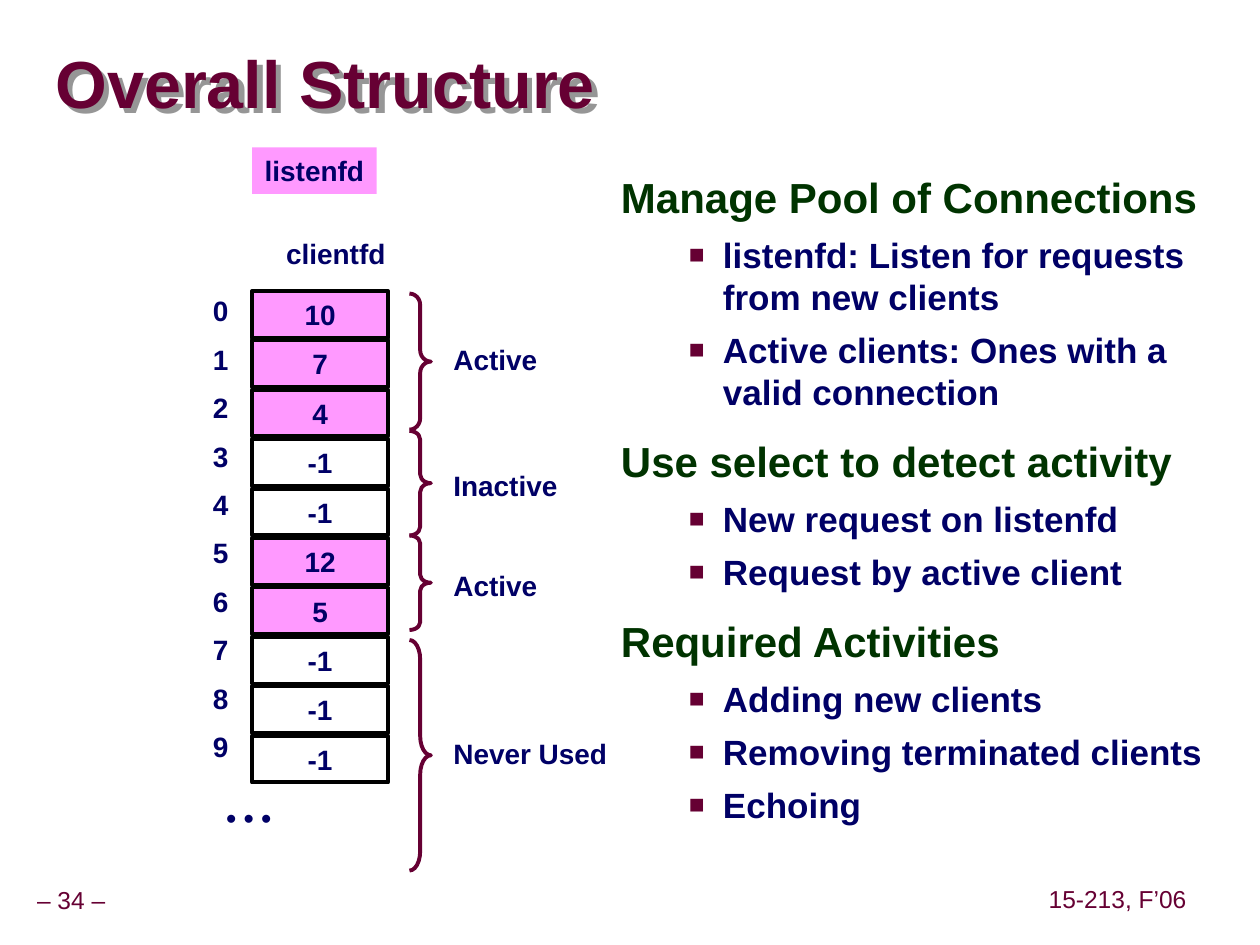
from dataclasses import dataclass

from lxml import etree
from pptx import Presentation
from pptx import util as u
from pptx.dml.color import RGBColor
from pptx.enum import shapes, text
from pptx.oxml import ns

ALIGN = text.PP_ALIGN
ANCHOR = text.MSO_ANCHOR


@dataclass(frozen=True)
class Theme:
    """Colours, font and type sizes of the slide."""
    maroon: str = "660033"
    navy: str = "000066"
    green: str = "003300"
    pink: str = "FF99FF"
    white: str = "FFFFFF"
    black: str = "000000"
    shadow: str = "969696"
    font: str = "Arial"
    title: int = 38
    heading: int = 24
    bullet: int = 20
    label: int = 16
    footer: int = 14


THEME = Theme()
SLOTS = [10, 7, 4, -1, -1, 12, 5, -1, -1, -1]
CELL_TOP, CELL_STEP = 2.31, 3.53 / 9
INDEX_TOP, INDEX_STEP = 2.28, 3.46 / 9
RANGES = [
    ("Active", 2.33, 1.08, 2.67, 0.92),
    ("Inactive", 3.42, 0.83, 3.67, 1.08),
    ("Active", 4.25, 0.75, 4.46, 0.92),
    ("Never Used", 5.08, 1.83, 5.8, 1.48),
]
OUTLINE = [
    ("Manage Pool of Connections", [
        "listenfd: Listen for requests from new clients",
        "Active clients: Ones with a valid connection"]),
    ("Use select to detect activity", [
        "New request on listenfd", "Request by active client"]),
    ("Required Activities", [
        "Adding new clients", "Removing terminated clients", "Echoing"]),
]


def add_element(parent, tag, **attributes):
    """Append a DrawingML element and return it."""
    child = etree.SubElement(parent, ns.qn(tag))
    for name, value in attributes.items():
        child.set(name, str(value))
    return child


def set_font(para, size, color, bold=True):
    """Set the font of a whole paragraph."""
    para.font.name = THEME.font
    para.font.size = u.Pt(size)
    para.font.bold = bold
    para.font.color.rgb = RGBColor.from_string(color)


def write_label(box, words, align=ALIGN.CENTER, anchor=ANCHOR.MIDDLE, wrap=True):
    """Write one bold diagram label into a shape."""
    frame = box.text_frame
    frame.word_wrap = wrap
    frame.vertical_anchor = anchor
    para = frame.paragraphs[0]
    para.text = words
    para.alignment = align
    set_font(para, THEME.label, THEME.navy)


def add_label(page, words, left, top, width, **layout):
    """Add a diagram label without a box."""
    box = page.shapes.add_textbox(
        u.Inches(left), u.Inches(top), u.Inches(width), u.Inches(0.37))
    write_label(box, words, **layout)


def add_cell(page, words, left, top, width, fill, outlined=True, **layout):
    """Add a filled rectangle holding a value."""
    cell = page.shapes.add_shape(
        shapes.MSO_SHAPE.RECTANGLE,
        u.Inches(left), u.Inches(top), u.Inches(width), u.Inches(0.37))
    cell.shadow.inherit = False
    cell.fill.solid()
    cell.fill.fore_color.rgb = RGBColor.from_string(fill)
    if outlined:
        cell.line.color.rgb = RGBColor.from_string(THEME.black)
        cell.line.width = u.Pt(2.25)
    else:
        cell.line.fill.background()
    write_label(cell, words, **layout)


def add_brace(page, top, height):
    """Add a right brace whose curves scale with its height."""
    width = 0.17
    brace = page.shapes.add_shape(
        shapes.MSO_SHAPE.RIGHT_BRACE,
        u.Inches(3.25), u.Inches(top), u.Inches(width), u.Inches(height))
    brace.adjustments[0] = height / 12 / width
    brace.shadow.inherit = False
    brace.fill.background()
    brace.line.color.rgb = RGBColor.from_string(THEME.maroon)
    brace.line.width = u.Pt(2.25)


def add_title(page, words):
    """Place the title and give its text a hard shadow."""
    title = page.shapes.title
    title.left, title.top = u.Inches(0.44), u.Inches(0.27)
    title.width, title.height = u.Inches(9.53), u.Inches(0.85)
    frame = title.text_frame
    frame.margin_left = frame.margin_right = 0
    frame.margin_top = frame.margin_bottom = 0
    frame.vertical_anchor = ANCHOR.MIDDLE
    frame.auto_size = text.MSO_AUTO_SIZE.NONE
    para = frame.paragraphs[0]
    para.text = words
    para.alignment = ALIGN.LEFT
    para.line_spacing = 0.87
    set_font(para, THEME.title, THEME.maroon)
    effects = add_element(title.element.spPr, "a:effectLst")
    shadow = add_element(effects, "a:outerShdw", dist=u.Inches(0.06), dir=2700000)
    add_element(shadow, "a:srgbClr", val=THEME.shadow)


def add_footer(page, words, left, top, width):
    """Add a small footer text."""
    box = page.shapes.add_textbox(
        u.Inches(left), u.Inches(top), u.Inches(width), u.Inches(0.31))
    frame = box.text_frame
    frame.word_wrap = False
    frame.margin_left = frame.margin_right = u.Inches(0.05)
    frame.vertical_anchor = ANCHOR.MIDDLE
    para = frame.paragraphs[0]
    para.text = words
    para.alignment = ALIGN.CENTER
    para.line_spacing = 0.9
    set_font(para, THEME.footer, THEME.maroon, bold=False)


def format_bullet(para):
    """Give a paragraph a hanging square bullet."""
    para.level = 1
    properties = para._p.get_or_add_pPr()
    properties.set("marL", str(u.Inches(0.81)))
    properties.set("indent", str(u.Inches(-0.27)))
    para.space_before = u.Pt(6.2)
    color = add_element(properties, "a:buClr")
    add_element(color, "a:srgbClr", val=THEME.maroon)
    add_element(properties, "a:buSzPct", val=75000)
    add_element(properties, "a:buFont", typeface=THEME.font)
    add_element(properties, "a:buChar", char="■")
    set_font(para, THEME.bullet, THEME.navy)


def add_outline(page):
    """Add the headings and their bullets."""
    box = page.shapes.add_textbox(
        u.Inches(4.83), u.Inches(1.34), u.Inches(5), u.Inches(5.71))
    frame = box.text_frame
    frame.word_wrap = True
    for number, (heading, bullets) in enumerate(OUTLINE):
        para = frame.add_paragraph() if number else frame.paragraphs[0]
        para.text = heading
        para.line_spacing = 0.95
        para.space_before = u.Pt(15 if number else 0)
        set_font(para, THEME.heading, THEME.green)
        for bullet in bullets:
            para = frame.add_paragraph()
            para.text = bullet
            format_bullet(para)


def add_client_array(page):
    """Add the descriptor array with its indices and ranges."""
    add_cell(page, "listenfd", 2, 1.17, 0.99, THEME.pink,
             outlined=False, anchor=ANCHOR.TOP, wrap=False)
    add_label(page, "clientfd", 2.17, 1.83, 0.99, anchor=ANCHOR.TOP, wrap=False)
    for index, value in enumerate(SLOTS):
        fill = THEME.white if value < 0 else THEME.pink
        add_cell(page, str(value), 2, CELL_TOP + index * CELL_STEP, 1.08, fill)
        add_label(page, str(index), 0.83, INDEX_TOP + index * INDEX_STEP, 1.08,
                  align=ALIGN.RIGHT)
    add_label(page, "• • •", 1.17, 6.3, 1.08, align=ALIGN.RIGHT)
    for name, top, height, label_top, width in RANGES:
        add_brace(page, top, height)
        add_label(page, name, 3.5, label_top, width,
                  align=ALIGN.LEFT, anchor=ANCHOR.TOP)


def main():
    """Build the slide and save it."""
    deck = Presentation()
    deck.slide_width, deck.slide_height = u.Inches(10), u.Inches(7.5)
    page = deck.slides.add_slide(deck.slide_layouts[5])
    add_title(page, "Overall Structure")
    add_client_array(page)
    add_outline(page)
    add_footer(page, "– 34 –", -0.09, 7, 1.31)
    add_footer(page, "15-213, F’06", 8.27, 6.99, 1.2)
    deck.save("out.pptx")


if __name__ == "__main__":
    main()
